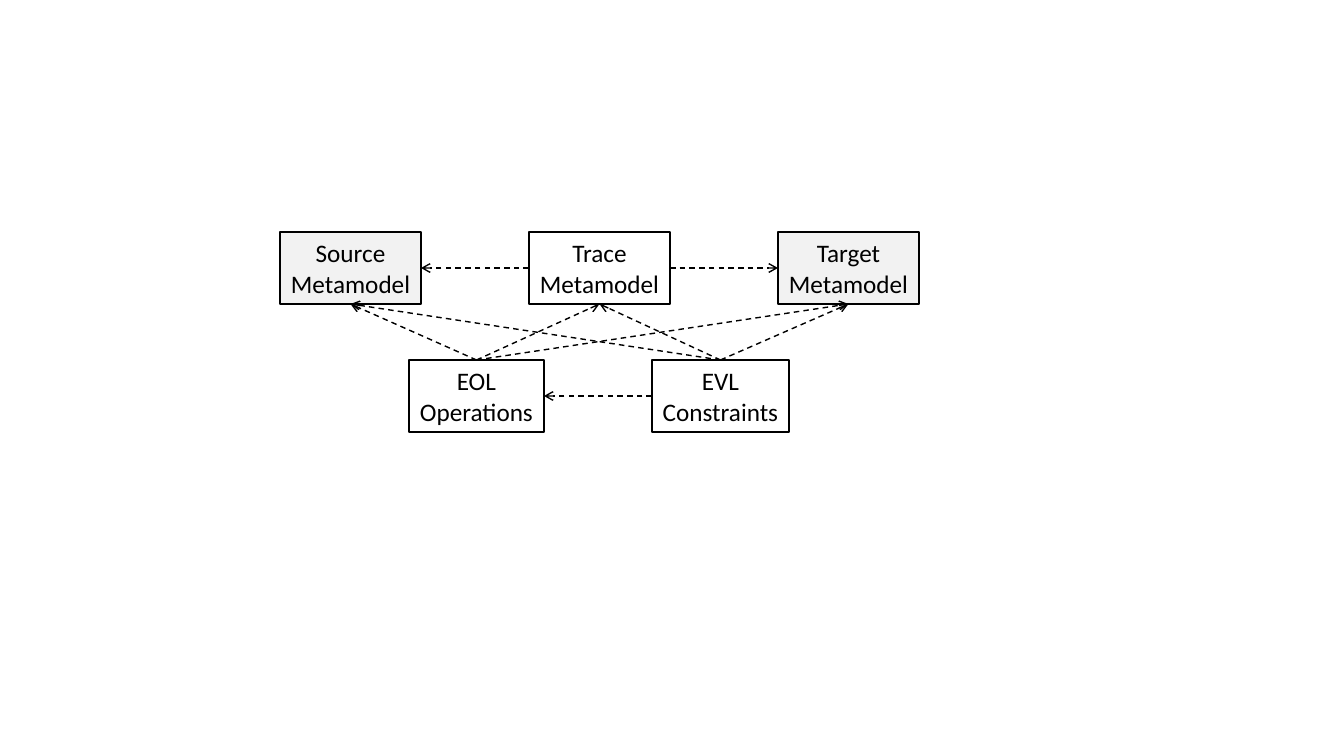
"""Build a slide showing how metamodels, operations and constraints depend on each other."""
from dataclasses import dataclass
from enum import IntEnum

from lxml import etree
from pptx import Presentation
from pptx.dml.color import RGBColor
from pptx.enum import dml, shapes, text
from pptx.oxml.ns import qn
from pptx.shapes.autoshape import Shape
from pptx.slide import Slide
from pptx.util import Emu, Pt

EMU_PER_PIXEL = 914400 / 100.8


@dataclass(frozen=True)
class Theme:
    ink: RGBColor = RGBColor(0x00, 0x00, 0x00)
    shade: RGBColor = RGBColor(0xF2, 0xF2, 0xF2)
    font: str = "Calibri"
    label_size: Pt = Pt(18)
    line_width: Pt = Pt(1)


@dataclass(frozen=True)
class Box:
    lines: tuple[str, str]
    left: int
    top: int
    width: int
    shaded: bool = False


class Side(IntEnum):
    TOP = 0
    LEFT = 1
    BOTTOM = 2
    RIGHT = 3


@dataclass(frozen=True)
class Dependency:
    user: str
    user_side: Side
    used: str
    used_side: Side


THEME = Theme()
SLIDE_WIDTH, SLIDE_HEIGHT = 1344, 756
BOX_HEIGHT = 72
METAMODEL_LEFT, METAMODEL_TOP, METAMODEL_WIDTH, METAMODEL_PITCH = 280, 232, 141, 249
RULES_TOP = 360

METAMODELS = ("Source", "Trace", "Target")
RULES = ("EOL", "EVL")
BOXES = [
    Box(("EOL", "Operations"), 409, RULES_TOP, 135),
    Box(("EVL", "Constraints"), 652, RULES_TOP, 137),
] + [
    Box((name, "Metamodel"), METAMODEL_LEFT + column * METAMODEL_PITCH,
        METAMODEL_TOP, METAMODEL_WIDTH, shaded=name != "Trace")
    for column, name in enumerate(METAMODELS)
]
DEPENDENCIES = [
    Dependency("EVL", Side.LEFT, "EOL", Side.RIGHT),
    Dependency("Trace", Side.LEFT, "Source", Side.RIGHT),
    Dependency("Trace", Side.RIGHT, "Target", Side.LEFT),
] + [
    Dependency(rule, Side.TOP, metamodel, Side.BOTTOM)
    for rule in RULES for metamodel in METAMODELS
]


def pixels(count: int) -> Emu:
    """Convert whole pixels to EMU."""
    return Emu(round(count * EMU_PER_PIXEL))


def draw_box(slide: Slide, box: Box) -> Shape:
    """Draw a bordered box with one centred paragraph per line."""
    shape = slide.shapes.add_shape(
        shapes.MSO_SHAPE.RECTANGLE, pixels(box.left), pixels(box.top),
        pixels(box.width), pixels(BOX_HEIGHT))
    shape.shadow.inherit = False
    if box.shaded:
        shape.fill.solid()
        shape.fill.fore_color.rgb = THEME.shade
    else:
        shape.fill.background()
    shape.line.color.rgb = THEME.ink
    shape.line.width = THEME.line_width
    frame = shape.text_frame
    frame.word_wrap = False
    frame.auto_size = text.MSO_AUTO_SIZE.SHAPE_TO_FIT_TEXT
    for index, line in enumerate(box.lines):
        paragraph = frame.add_paragraph() if index else frame.paragraphs[0]
        paragraph.alignment = text.PP_ALIGN.CENTER
        run = paragraph.add_run()
        run.text = line
        run.font.name = THEME.font
        run.font.size = THEME.label_size
        run.font.color.rgb = THEME.ink
    return shape


def draw_dependency(slide: Slide, dependency: Dependency, drawn: dict[str, Shape]) -> None:
    """Draw a dashed arrow from the user box to the used box."""
    connector = slide.shapes.add_connector(shapes.MSO_CONNECTOR.STRAIGHT, 0, 0, 0, 0)
    connector.begin_connect(drawn[dependency.user], dependency.user_side)
    connector.end_connect(drawn[dependency.used], dependency.used_side)
    connector.line.color.rgb = THEME.ink
    connector.line.width = THEME.line_width
    connector.line.dash_style = dml.MSO_LINE.DASH
    properties = connector.element.spPr
    etree.SubElement(properties.find(qn("a:ln")), qn("a:tailEnd"), type="arrow")
    etree.SubElement(properties, qn("a:effectLst"))


def main() -> None:
    """Build and save the presentation."""
    presentation = Presentation()
    presentation.slide_width = pixels(SLIDE_WIDTH)
    presentation.slide_height = pixels(SLIDE_HEIGHT)
    slide = presentation.slides.add_slide(presentation.slide_layouts[6])
    drawn = {box.lines[0]: draw_box(slide, box) for box in BOXES}
    for dependency in DEPENDENCIES:
        draw_dependency(slide, dependency, drawn)
    presentation.save("out.pptx")


main()
